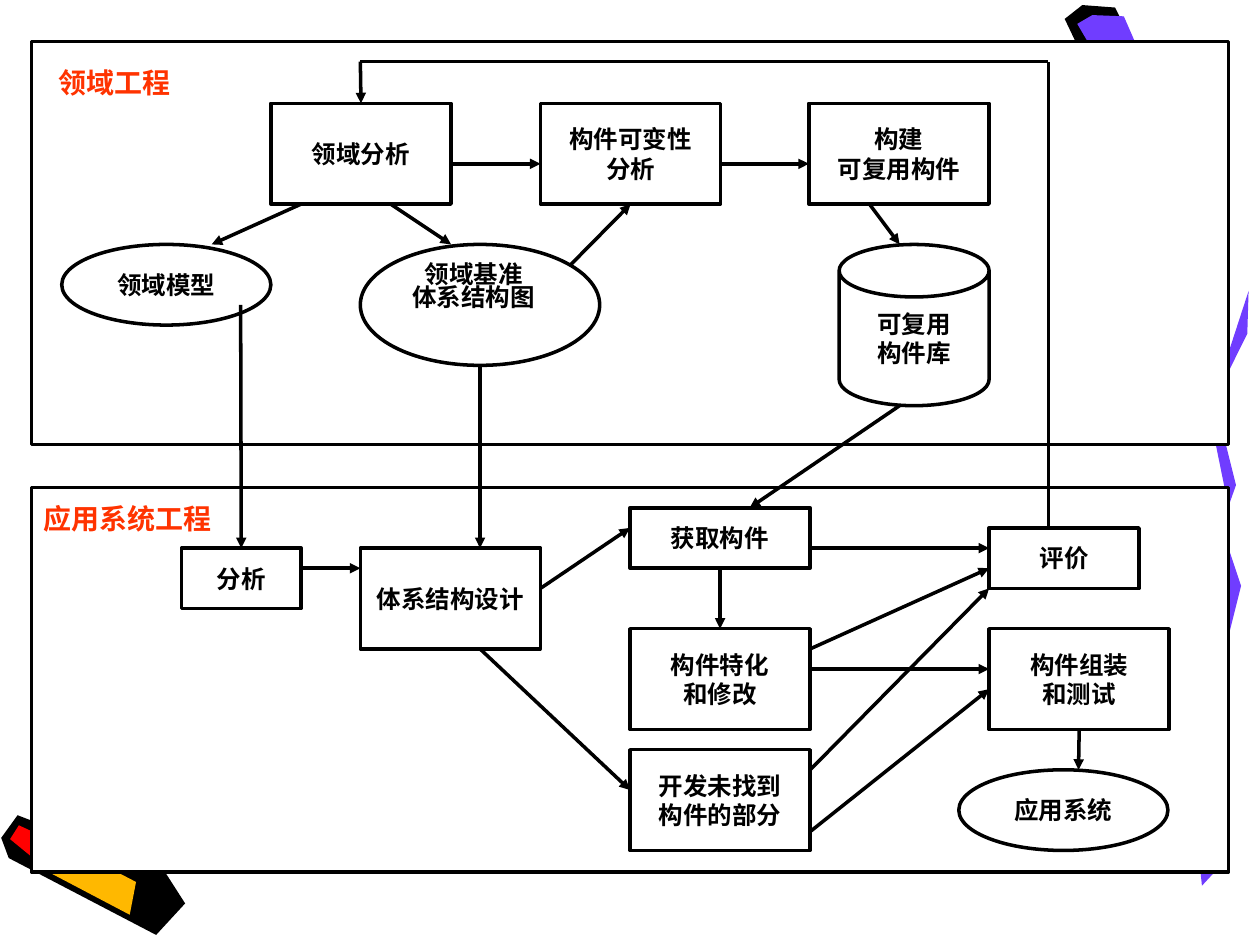
from lxml import etree
from pptx import Presentation
from pptx.dml.color import RGBColor
from pptx.enum.shapes import MSO_CONNECTOR, MSO_SHAPE
from pptx.enum.text import MSO_ANCHOR, PP_ALIGN
from pptx.oxml.ns import qn
from pptx.util import Pt

RECT, OVAL, CAN = MSO_SHAPE.RECTANGLE, MSO_SHAPE.OVAL, MSO_SHAPE.CAN
LINE = MSO_CONNECTOR.STRAIGHT
MID = MSO_ANCHOR.MIDDLE
LEFT, CENTER = PP_ALIGN.LEFT, PP_ALIGN.CENTER
PX = 9144  # 100 px to the inch
FONT = "Times New Roman"
BLACK, WHITE, RED = "000000", "FFFFFF", "FF3300"
VIOLET, GOLD = "703DFF", "FFB800"
WIDE, TALL, LOW = 143, 80, 48  # box sizes
COLS = (215, 429, 642)  # top row
MIDX, ENDX = 500, 785  # lower columns

# Parts of the crayons and waves beside the panels
ART = [
    (BLACK, [(845, 15), (859, 4), (885, 6), (900, 36), (855, 36)]),
    (VIOLET, [(855, 19), (867, 12), (892, 13), (902, 36), (865, 36)]),
    (BLACK, [(1, 665), (14, 647), (131, 692), (147, 717), (124, 742), (7, 681)]),
    ("FF0000", [(8, 666), (15, 655), (30, 662), (30, 684)]),
    (GOLD, [(25, 685), (60, 675), (108, 700), (103, 726)]),
    (VIOLET, [(991, 231), (990, 265), (975, 295), (975, 280)]),
    (VIOLET, [(965, 353), (973, 353), (981, 385), (975, 402)]),
    (VIOLET, [(975, 435), (985, 465), (975, 505)]),
    (VIOLET, [(953, 694), (966, 690), (954, 703)]),
]


def hue(code):
    return RGBColor.from_string(code)


def emu(nums):
    return [round(n * PX) for n in nums]


def write(shape, text, size=14, color=BLACK, align=CENTER, space=None):
    frame = shape.text_frame
    frame.word_wrap = True
    frame.vertical_anchor = MID
    frame.text = text
    for para in frame.paragraphs:
        para.alignment = align
        para.line_spacing = space
        font = para.runs[0].font
        font.name, font.size, font.bold = FONT, Pt(size), True
        font.color.rgb = hue(color)


def node(slide, x, y, w=WIDE, h=TALL, kind=RECT, text="", **fmt):
    shape = slide.shapes.add_shape(kind, *emu((x, y, w, h)))
    shape.shadow.inherit = False
    shape.fill.solid()
    shape.fill.fore_color.rgb = hue(WHITE)
    shape.line.color.rgb = hue(BLACK)
    shape.line.width = Pt(2)
    if text:
        write(shape, text, **fmt)
    return shape


def panel(slide, y, h, text, x, top):
    node(slide, 25, y, 950, h)
    label = slide.shapes.add_textbox(*emu((x, top, 190, LOW)))
    write(label, text, size=16, color=RED, align=LEFT)


def blob(slide, color, pts):
    pen = slide.shapes.build_freeform(*pts[0], scale=PX)
    pen.add_line_segments(pts[1:], close=True)
    shape = pen.convert_to_shape()
    shape.shadow.inherit = False
    shape.fill.solid()
    shape.fill.fore_color.rgb = hue(color)
    shape.line.fill.background()


def edges(box):
    """Give left, top, right and bottom in px."""
    l, t = box.left / PX, box.top / PX
    return l, t, l + box.width / PX, t + box.height / PX


def side(box, x, y):
    """Find the side of a rectangle whose middle lies at a point."""
    l, t, r, b = edges(box)
    cx, cy = (l + r) / 2, (t + b) / 2
    for i, (mx, my) in enumerate([(cx, t), (l, cy), (cx, b), (r, cy)]):
        if abs(mx - x) <= 1 and abs(my - y) <= 1:
            return i
    return None


def link(slide, ends, start=None, stop=None, head=True):
    wire = slide.shapes.add_connector(LINE, *emu(ends))
    wire.line.color.rgb = hue(BLACK)
    wire.line.width = Pt(2)
    if head:
        etree.SubElement(wire.line._get_or_add_ln(), qn("a:tailEnd"), type="triangle")
    etree.SubElement(wire._element.spPr, qn("a:effectLst"))
    joins = ((wire.begin_connect, start, ends[:2]), (wire.end_connect, stop, ends[2:]))
    for join, box, spot in joins:
        if box is not None and box.auto_shape_type == RECT:
            site = side(box, *spot)
            if site is not None:
                join(box, site)


def across(slide, a, b, y, end=None):
    ends = (edges(a)[2], y, edges(b)[0], end or y)
    link(slide, ends, a, b)


def down(slide, a, b, x, end=None):
    ends = (x, edges(a)[3], end or x, edges(b)[1])
    link(slide, ends, a, b)


def main():
    deck = Presentation()
    deck.slide_width, deck.slide_height = emu((1000, 750))
    slide = deck.slides.add_slide(deck.slide_layouts[6])

    # Crayons and waves
    for color, pts in ART:
        blob(slide, color, pts)

    # Domain engineering
    panel(slide, 33, 320, "领域工程", 37, 41)
    names = ("领域分析", "构件可变性\n分析", "构建\n可复用构件")
    study, vary, build = [node(slide, x, 82, text=t) for x, t in zip(COLS, names)]
    model = node(slide, 49, 194, 166, 64, OVAL, "领域模型")
    base = node(slide, 286, 194, 190, 96, OVAL, "领域基准\n体系结构图", space=0.8)
    base.text_frame.margin_left = 0
    base.text_frame.margin_bottom = 32 * PX
    store = node(slide, 666, 194, 119, 128, CAN, "可复用\n构件库")
    store.adjustments[0] = 0.35

    # Application engineering
    panel(slide, 387, 305, "应用系统工程", 25, 387)
    parse = node(slide, 144, 435, 95, LOW, text="分析")
    plan = node(slide, 286, 435, text="体系结构设计")
    fetch = node(slide, MIDX, 403, h=LOW, text="获取构件")
    adapt = node(slide, MIDX, 499, text="构件特化\n和修改")
    make = node(slide, MIDX, 595, text="开发未找到\n构件的部分")
    rate = node(slide, ENDX, 419, 119, LOW, text="评价")
    test = node(slide, ENDX, 499, text="构件组装\n和测试")
    app = node(slide, 761, 611, 166, 64, OVAL, "应用系统")

    # Arrows between columns
    across(slide, study, vary, 130)
    across(slide, vary, build, 130)
    across(slide, parse, plan, 451)
    across(slide, plan, fetch, 467, 419)
    across(slide, fetch, rate, 435)
    across(slide, adapt, rate, 515, 451)
    across(slide, adapt, test, 531)
    across(slide, make, rate, 611, 467)
    across(slide, make, test, 660, 547)

    # Arrows between rows
    down(slide, study, model, 239, 168)
    down(slide, study, base, 310, 358)
    down(slide, build, store, 690, 714)
    down(slide, base, plan, 381)
    down(slide, store, fetch, 714, 595)
    down(slide, fetch, adapt, 571)
    down(slide, test, app, 856)
    link(slide, (453, 210, 500, 162), base, vary)
    link(slide, (191, 242, 191, 435), model, parse)
    link(slide, (381, 515, 500, 627), plan, make)

    # Feedback path
    link(slide, (832, 419, 832, 49), head=False)
    link(slide, (832, 49, 286, 49), head=False)
    link(slide, (286, 49, 286, 82), stop=study)
    deck.save("out.pptx")


if __name__ == "__main__":
    main()
